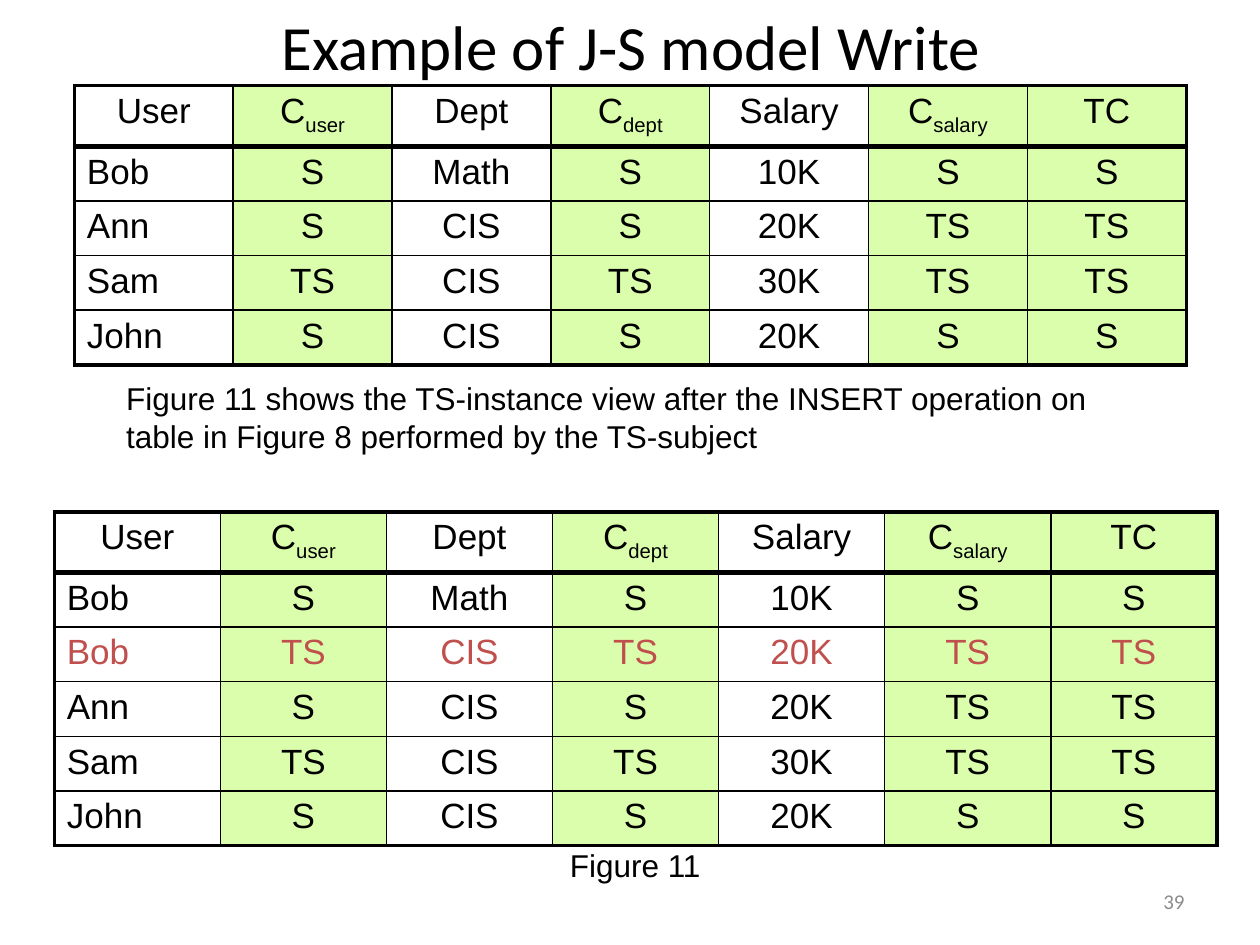
from lxml import etree
from pptx import Presentation
from pptx.dml.color import RGBColor
from pptx.enum import text
from pptx.oxml.ns import qn
from pptx.util import Pt

BLACK = RGBColor(0x00, 0x00, 0x00)
GREEN = RGBColor(0xDB, 0xFE, 0xAC)
RED = RGBColor(0xC0, 0x50, 0x4D)
GREY = RGBColor(0x8C, 0x8C, 0x8C)

LEFT, CENTER, RIGHT = text.PP_ALIGN.LEFT, text.PP_ALIGN.CENTER, text.PP_ALIGN.RIGHT
TOP, MIDDLE = text.MSO_ANCHOR.TOP, text.MSO_ANCHOR.MIDDLE

INNER, OUTER, HEADER_RULE = 1, 2.25, 3
CLASS_COLUMNS = {1, 3, 5, 6}

# A header is a pair: its text and its subscript
HEADERS = [("User", ""), ("C", "user"), ("Dept", ""), ("C", "dept"),
           ("Salary", ""), ("C", "salary"), ("TC", "")]
BOB = ["Bob", "S", "Math", "S", "10K", "S", "S"]
BOB_TS = ["Bob", "TS", "CIS", "TS", "20K", "TS", "TS"]
OTHERS = [
    ["Ann", "S", "CIS", "S", "20K", "TS", "TS"],
    ["Sam", "TS", "CIS", "TS", "30K", "TS", "TS"],
    ["John", "S", "CIS", "S", "20K", "S", "S"],
]


def add_span(para, words, size, font="Arial", color=BLACK, subscript=False):
    span = para.add_run()
    span.text = words
    for name, value in {"size": Pt(size), "name": font}.items():
        setattr(span.font, name, value)
    span.font.color.rgb = color
    if subscript:
        span.font._element.set("baseline", "-25000")


def add_label(page, box, words, size, align=LEFT, anchor=TOP, **style):
    frame = page.shapes.add_textbox(*map(Pt, box)).text_frame
    for name, value in {"word_wrap": True, "vertical_anchor": anchor}.items():
        setattr(frame, name, value)
    para = frame.paragraphs[0]
    para.alignment = align
    add_span(para, words, size, **style)


def set_borders(cell, widths):
    properties = cell._tc.get_or_add_tcPr()
    for side, width in widths.items():
        line = etree.SubElement(properties, qn(f"a:ln{side}"), w=str(Pt(width)))
        fill = etree.SubElement(line, qn("a:solidFill"))
        etree.SubElement(fill, qn("a:srgbClr"), val=str(BLACK))


def add_relation(page, box, records, header_height, marked=None):
    """Places a relation with its header; the marked record is red."""
    left, top, width, height = box
    rows, columns = len(records) + 1, len(HEADERS)
    table = page.shapes.add_table(rows, columns, *map(Pt, box)).table
    table.first_row = table.horz_banding = False
    for column in table.columns:
        column.width = Pt(width / columns)
    for r, row in enumerate(table.rows):
        row.height = Pt(header_height if r == 0 else (height - header_height) / (rows - 1))

    grid = [HEADERS] + [[(value, "") for value in record] for record in records]
    for r, line in enumerate(grid):
        for c, (words, subscript) in enumerate(line):
            cell = table.cell(r, c)
            set_borders(cell, {
                "L": OUTER if c == 0 else INNER,
                "R": OUTER if c == columns - 1 else INNER,
                "T": {0: OUTER, 1: HEADER_RULE}.get(r, INNER),
                "B": {0: HEADER_RULE, rows - 1: OUTER}.get(r, INNER),
            })
            if c in CLASS_COLUMNS:
                cell.fill.solid()
                cell.fill.fore_color.rgb = GREEN
            else:
                cell.fill.background()
            para = cell.text_frame.paragraphs[0]
            para.alignment = LEFT if c == 0 and r > 0 else CENTER
            color = RED if marked is not None and r == marked + 1 else BLACK
            add_span(para, words, 20, color=color)
            if subscript:
                add_span(para, subscript, 20, color=color, subscript=True)


def build_write_example(page):
    # Title
    add_label(page, (36.5, 9.5, 648, 33), "Example of J-S model Write", 36,
              CENTER, MIDDLE, font="Calibri")
    # Relation after the insert, with the new record marked
    add_relation(page, (31, 292.5, 664.5, 188.5), [BOB, BOB_TS] + OTHERS, 33, marked=1)
    # Explanation and caption
    add_label(page, (65, 213, 600, 50.5),
              "Figure 11 shows the TS-instance view after the INSERT operation on "
              "table in Figure 8 performed by the TS-subject", 18)
    add_label(page, (282, 480, 162, 29), "Figure 11", 18, CENTER)
    # Relation before the insert
    add_relation(page, (42.5, 49, 635.5, 159.5), [BOB] + OTHERS, 34.5)
    # Slide number
    add_label(page, (516, 500.5, 168, 29), "39", 12, RIGHT, MIDDLE,
              font="Calibri", color=GREY)


def main():
    deck = Presentation()
    deck.slide_width, deck.slide_height = Pt(720), Pt(540)
    build_write_example(deck.slides.add_slide(deck.slide_layouts[6]))
    deck.save("out.pptx")


if __name__ == "__main__":
    main()
